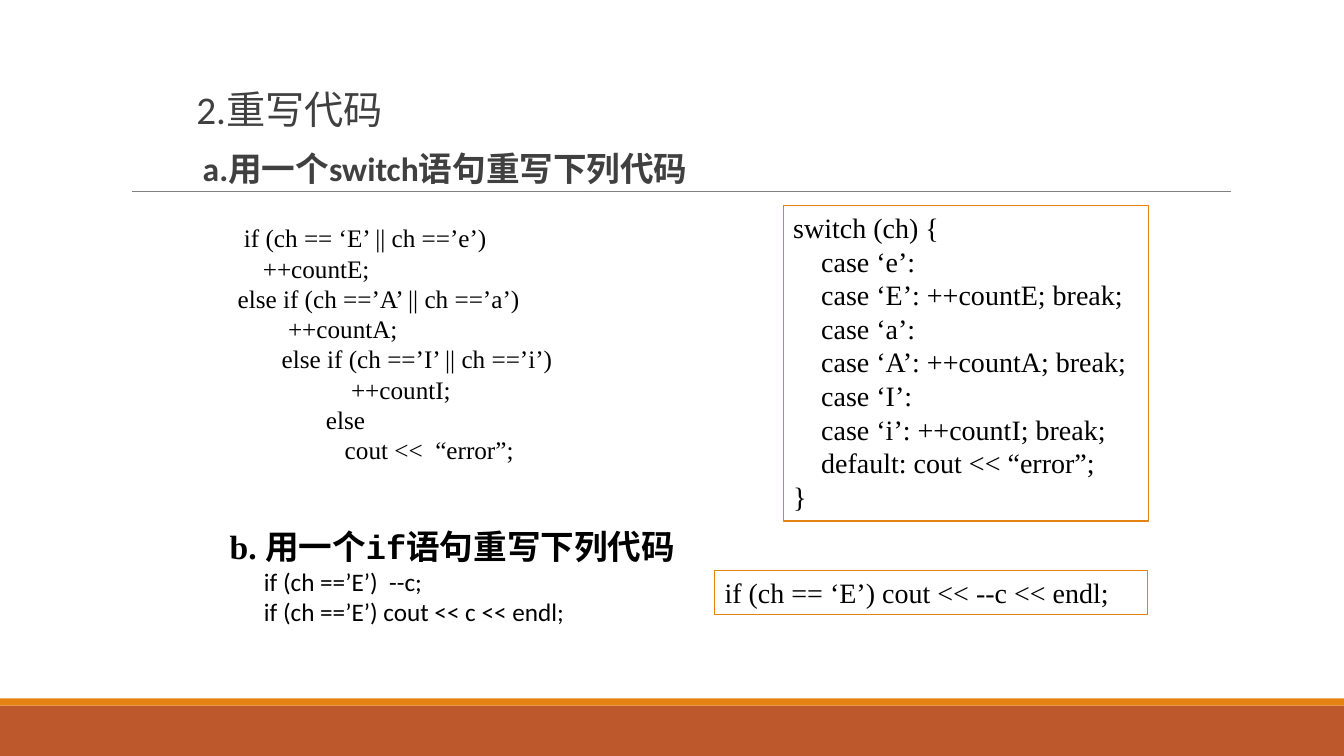
"""Build the slide about rewriting code with switch and if statements."""
import pptx
import pptx.dml.color
import pptx.enum.shapes
import pptx.enum.text
import pptx.oxml
import pptx.util

Cm = pptx.util.Cm
Pt = pptx.util.Pt

COLORS = {
    "band": "BD582C",
    "accent": "E48312",
    "rule": "808080",
    "heading": "404040",
    "code": "000000",
}
SERIF, SANS, MONO = "Times New Roman", "Calibri", "Courier New"
SERIF_SPACE, SANS_SPACE = 0.25, 0.226

TITLE = "2.重写代码"
TASK_A = "a.用一个switch语句重写下列代码"
TASK_B = [("b. 用一个", SERIF), ("if", MONO), ("语句重写下列代码", SERIF)]

IF_CHAIN = [
    (1, "if (ch == ‘E’ || ch ==’e’)"),
    (4, "++countE;"),
    (0, "else if (ch ==’A’ || ch ==’a’)"),
    (8, "++countA;"),
    (7, "else if (ch ==’I’ || ch ==’i’)"),
    (18, "++countI;"),
    (14, "else"),
    (17, "cout <<  “error”;"),
]
SWITCH_ANSWER = [
    (0, "switch (ch) {"),
    (4, "case ‘e’:"),
    (4, "case ‘E’: ++countE; break;"),
    (4, "case ‘a’:"),
    (4, "case ‘A’: ++countA; break;"),
    (4, "case ‘I’:"),
    (4, "case ‘i’: ++countI; break;"),
    (4, "default: cout << “error”;"),
    (0, "}"),
]
TWO_IFS = [(6, "if (ch ==’E’)  --c;"), (6, "if (ch ==’E’) cout << c << endl;")]
IF_ANSWER = [(0, "if (ch == ‘E’) cout << --c << endl;")]

SLIDE_WIDTH, SLIDE_HEIGHT = 33.87, 19.05
BAND_HEIGHT, STRIPE_HEIGHT = 1.27, 0.18
RULE_LEFT, RULE_RIGHT, RULE_TOP = 3.33, 31.01, 4.83
HEADING_BOX = (4.95, 2.16, 22.86, 2.7)
IF_CHAIN_BOX = (5.74, 5.49, 15.19, 6.43)
SWITCH_BOX = (19.74, 5.18, 9.2, 7.95)
TASK_B_BOX = (5.54, 13.13, 11.89, 3.9)
IF_ANSWER_BOX = (18.01, 14.38, 10.92, 1.11)


def rgb(name):
    return pptx.dml.color.RGBColor.from_string(COLORS[name])


def add_rectangle(slide, box, fill=None, line=None):
    shape = slide.shapes.add_shape(
        pptx.enum.shapes.MSO_SHAPE.RECTANGLE, *map(Cm, box))
    shape.shadow.inherit = False
    if fill:
        shape.fill.solid()
        shape.fill.fore_color.rgb = rgb(fill)
    else:
        shape.fill.background()
    if line:
        shape.line.color.rgb = rgb(line)
        shape.line.width = Pt(0.75)
    else:
        shape.line.fill.background()
    return shape


def add_rule(slide):
    rule = slide.shapes.add_connector(
        pptx.enum.shapes.MSO_CONNECTOR.STRAIGHT,
        Cm(RULE_LEFT), Cm(RULE_TOP), Cm(RULE_RIGHT), Cm(RULE_TOP))
    rule.line.color.rgb = rgb("rule")
    rule.line.width = Pt(0.5)
    properties = rule._element.spPr
    properties.append(properties.makeelement(pptx.oxml.ns.qn("a:effectLst"), {}))


def open_text(shape):
    frame = shape.text_frame
    frame.word_wrap = True
    frame.vertical_anchor = pptx.enum.text.MSO_ANCHOR.TOP
    return frame


def add_text_box(slide, box):
    return open_text(slide.shapes.add_textbox(*map(Cm, box)))


def format_run(run, font, size, color="code", bold=False):
    run.font.name = font
    run.font.size = Pt(size)
    run.font.bold = bold
    run.font.color.rgb = rgb(color)


def indent(paragraph, points):
    properties = paragraph._p.get_or_add_pPr()
    properties.set("marL", str(Pt(points)))
    properties.set("indent", "0")


def write_code(frame, lines, font, size, space, first=None):
    for number, (spaces, text) in enumerate(lines):
        paragraph = first if first and number == 0 else frame.add_paragraph()
        paragraph.text = text
        paragraph.alignment = pptx.enum.text.PP_ALIGN.LEFT
        indent(paragraph, spaces * space * size)
        format_run(paragraph.runs[0], font, size)


def write_serif_code(frame, lines, size):
    write_code(frame, lines, SERIF, size, SERIF_SPACE, frame.paragraphs[0])


def add_headings(slide):
    frame = add_text_box(slide, HEADING_BOX)
    frame.margin_left = frame.margin_right = 0
    frame.text = f"{TITLE}\n{TASK_A}"
    for paragraph, size, bold in zip(frame.paragraphs, (28, 24), (False, True)):
        paragraph.line_spacing = 0.9
        paragraph.space_before = Pt(12)
        paragraph.space_after = Pt(2)
        format_run(paragraph.runs[0], SANS, size, "heading", bold)
    indent(frame.paragraphs[1], SANS_SPACE * 20)


def add_task_b(slide):
    frame = add_text_box(slide, TASK_B_BOX)
    for text, font in TASK_B:
        run = frame.paragraphs[0].add_run()
        run.text = text
        format_run(run, font, 24, bold=True)
    write_code(frame, TWO_IFS, SANS, 18, SANS_SPACE)


def main():
    presentation = pptx.Presentation()
    presentation.slide_width = Cm(SLIDE_WIDTH)
    presentation.slide_height = Cm(SLIDE_HEIGHT)
    slide = presentation.slides.add_slide(presentation.slide_layouts[6])

    band_top = SLIDE_HEIGHT - BAND_HEIGHT
    add_rectangle(slide, (0, band_top, SLIDE_WIDTH, BAND_HEIGHT), fill="band")
    add_rectangle(slide, (0, band_top - STRIPE_HEIGHT, SLIDE_WIDTH, STRIPE_HEIGHT),
                  fill="accent")
    add_rule(slide)
    add_headings(slide)
    write_serif_code(add_text_box(slide, IF_CHAIN_BOX), IF_CHAIN, 18)
    add_task_b(slide)
    for box, lines in ((SWITCH_BOX, SWITCH_ANSWER), (IF_ANSWER_BOX, IF_ANSWER)):
        answer = add_rectangle(slide, box, line="accent")
        write_serif_code(open_text(answer), lines, 20)
    presentation.save("out.pptx")


if __name__ == "__main__":
    main()
